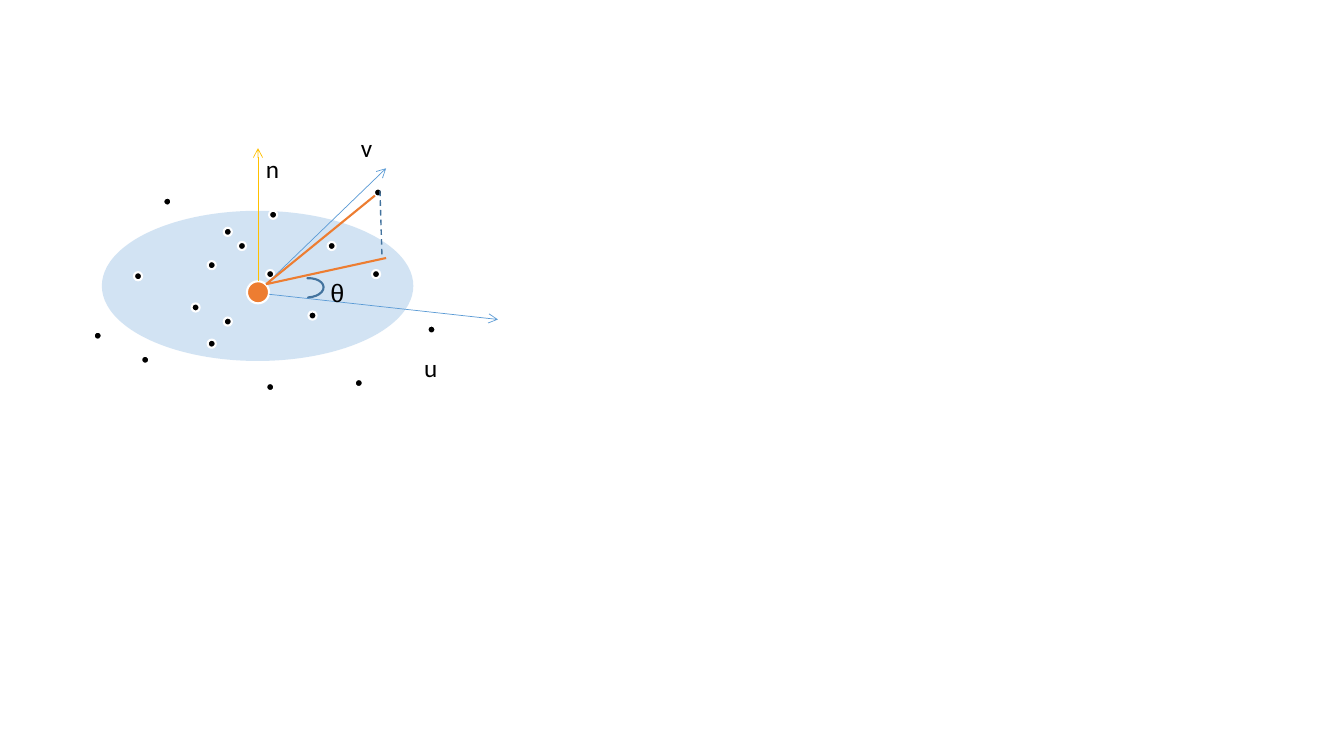
from dataclasses import dataclass
from typing import NamedTuple

from lxml.etree import SubElement
from pptx import Presentation
from pptx.dml.color import RGBColor
from pptx.enum.dml import MSO_LINE_DASH_STYLE as Dash
from pptx.enum.shapes import MSO_CONNECTOR, MSO_SHAPE
from pptx.enum.text import MSO_AUTO_SIZE
from pptx.oxml.ns import qn
from pptx.shapes.autoshape import Shape
from pptx.slide import Slide
from pptx.util import Pt


@dataclass(frozen=True)
class Theme:
    blue: str = "5B9BD5"
    dark_blue: str = "43739E"
    orange: str = "ED7D31"
    gold: str = "FFC000"
    black: str = "000000"
    white: str = "FFFFFF"
    plane_opacity: int = 27
    label_size: float = 18
    outline: float = 1.5
    thin: float = 0.5


THEME = Theme()


class Point(NamedTuple):
    x: float
    y: float


@dataclass(frozen=True)
class Segment:
    start: Point
    end: Point
    color: str
    width: float
    arrow: bool = False
    dashed: bool = False


@dataclass(frozen=True)
class Label:
    text: str
    left: float
    top: float
    font: str = "Calibri"
    width: float = 24.5
    height: float = 28.8


PLANE_CENTER = Point(184, 204.2)
PLANE_SIZE = Point(222.5, 107.3)
ORIGIN = Point(184.3, 208.8)
ORIGIN_DIAMETER = 15.8
DOT_DIAMETER = 5.8
DOTS = [
    Point(162.7, 165.6), Point(172.8, 175.7), Point(151.2, 189.4), Point(193, 195.8),
    Point(69.8, 239.8), Point(162.7, 229.7), Point(223.2, 225.4), Point(236.9, 175.7),
    Point(256.3, 273.6), Point(139.7, 219.6), Point(103.7, 257), Point(151.2, 245.5),
    Point(270, 137.5), Point(193, 276.5), Point(308.2, 235.4), Point(119.5, 144),
    Point(195.1, 153.4), Point(98.6, 197.3), Point(268.6, 195.8),
]
RAY_START = Point(190.1, 203)
SEGMENTS = [
    Segment(Point(192.2, 210.2), Point(355.7, 228.2), THEME.blue, THEME.thin, arrow=True),
    Segment(RAY_START, Point(275.8, 120.2), THEME.blue, THEME.thin, arrow=True),
    Segment(Point(ORIGIN.x, 200.9), Point(ORIGIN.x, 105.8), THEME.gold, THEME.thin, arrow=True),
    Segment(Point(267.8, 139.7), RAY_START, THEME.orange, THEME.outline),
    Segment(Point(275.8, 184.3), RAY_START, THEME.orange, THEME.outline),
    Segment(Point(271.4, 136.1), Point(272.9, 184.3), THEME.dark_blue, 1, dashed=True),
]
LABELS = [
    Label("u", 295.9, 248.4),
    Label("v", 250.6, 90.7, width=23),
    Label("n", 182.9, 105.8),
    Label("θ", 229, 194.4, font="Arial"),
]


def add_centered_shape(slide: Slide, kind: MSO_SHAPE, center: Point, size: Point,
                       fill: str, line: str | None) -> Shape:
    shape = slide.shapes.add_shape(kind, Pt(center.x - size.x / 2), Pt(center.y - size.y / 2),
                                   Pt(size.x), Pt(size.y))
    shape.shadow.inherit = False
    shape.fill.solid()
    shape.fill.fore_color.rgb = RGBColor.from_string(fill)
    if line is None:
        shape.line.fill.background()
    else:
        shape.line.color.rgb = RGBColor.from_string(line)
        shape.line.width = Pt(THEME.outline)
    return shape


def add_plane(slide: Slide) -> None:
    plane = add_centered_shape(slide, MSO_SHAPE.OVAL, PLANE_CENTER, PLANE_SIZE, THEME.blue, None)
    color = plane.fill._xPr.find(f"{qn('a:solidFill')}/{qn('a:srgbClr')}")
    SubElement(color, qn("a:alpha"), val=str(THEME.plane_opacity * 1000))


def add_dot(slide: Slide, center: Point, diameter: float, fill: str) -> None:
    add_centered_shape(slide, MSO_SHAPE.OVAL, center, Point(diameter, diameter), fill, THEME.white)


def add_segment(slide: Slide, segment: Segment) -> None:
    connector = slide.shapes.add_connector(
        MSO_CONNECTOR.STRAIGHT, Pt(segment.start.x), Pt(segment.start.y),
        Pt(segment.end.x), Pt(segment.end.y))
    connector.line.color.rgb = RGBColor.from_string(segment.color)
    connector.line.width = Pt(segment.width)
    if segment.dashed:
        connector.line.dash_style = Dash.DASH
    properties = connector._element.spPr
    if segment.arrow:
        SubElement(properties.find(qn("a:ln")), qn("a:tailEnd"), type="arrow")
    SubElement(properties, qn("a:effectLst"))


def add_angle_arc(slide: Slide) -> None:
    arc = add_centered_shape(slide, MSO_SHAPE.BLOCK_ARC, Point(220, 205.6), Point(13.7, 22.3),
                             THEME.blue, THEME.dark_blue)
    arc.rotation = 87
    for index, value in enumerate((108, 1.64, 0)):
        arc.adjustments[index] = value


def add_label(slide: Slide, label: Label) -> None:
    box = slide.shapes.add_textbox(Pt(label.left), Pt(label.top), Pt(label.width), Pt(label.height))
    frame = box.text_frame
    frame.text = label.text
    frame.word_wrap = False
    frame.auto_size = MSO_AUTO_SIZE.SHAPE_TO_FIT_TEXT
    font = frame.paragraphs[0].runs[0].font
    font.name = label.font
    font.size = Pt(THEME.label_size)
    font.color.rgb = RGBColor.from_string(THEME.black)


def main() -> None:
    presentation = Presentation()
    presentation.slide_width, presentation.slide_height = Pt(960), Pt(540)
    slide = presentation.slides.add_slide(presentation.slide_layouts[6])
    add_plane(slide)
    add_dot(slide, ORIGIN, ORIGIN_DIAMETER, THEME.orange)
    for center in DOTS:
        add_dot(slide, center, DOT_DIAMETER, THEME.black)
    for segment in SEGMENTS:
        add_segment(slide, segment)
    add_angle_arc(slide)
    for label in LABELS:
        add_label(slide, label)
    presentation.save("out.pptx")


if __name__ == "__main__":
    main()
